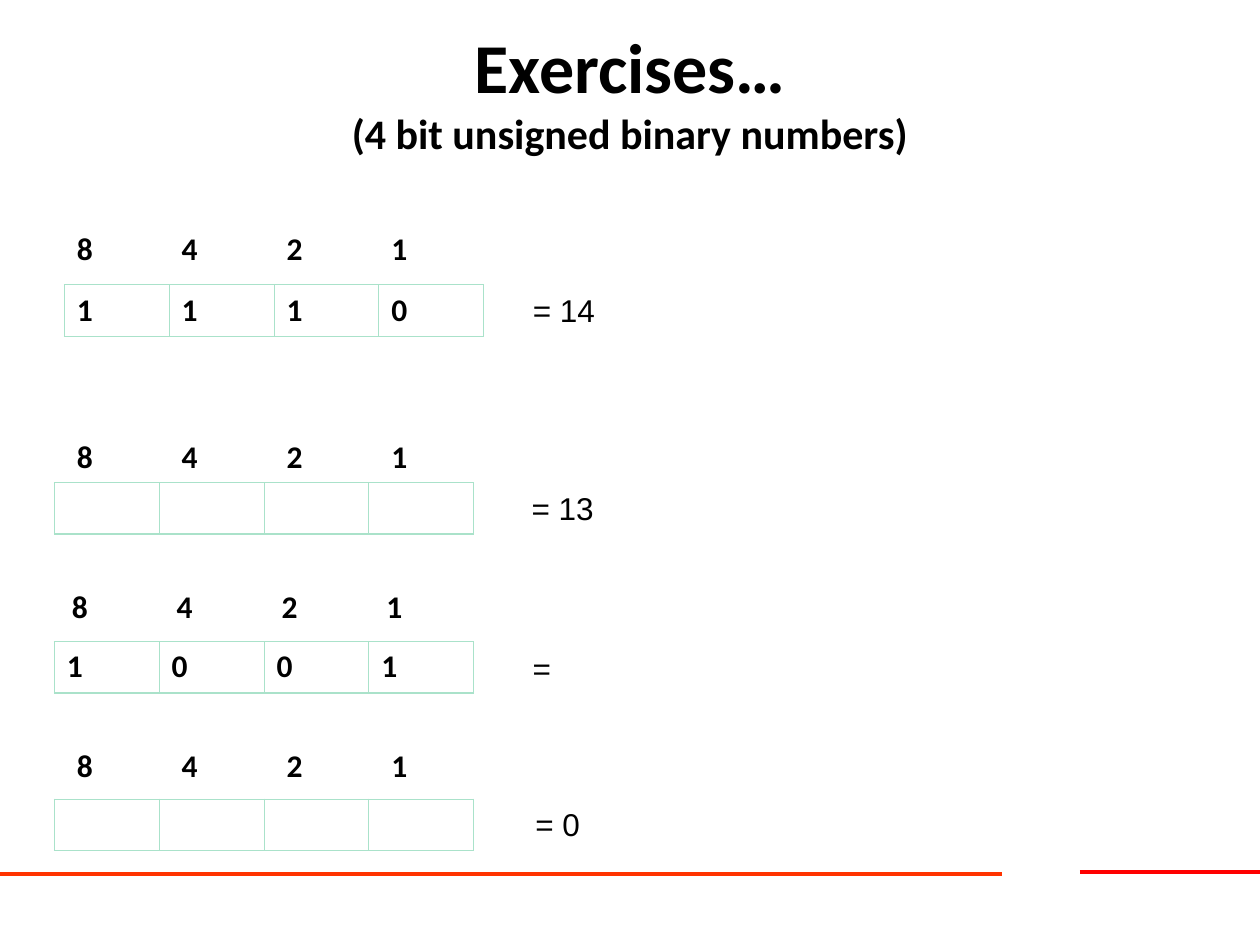
from dataclasses import dataclass
from lxml.etree import SubElement
from pptx import Presentation
from pptx.dml.color import RGBColor
from pptx.enum.shapes import MSO_CONNECTOR
from pptx.enum.text import MSO_ANCHOR, MSO_AUTO_SIZE, PP_ALIGN
from pptx.oxml.ns import qn
from pptx.util import Inches, Pt


@dataclass(frozen=True)
class Theme:
    ink: str = "000000"
    grid: str = "AAE2CA"
    clear: str = "FFFFFF"
    red: str = "FF0000"
    orange: str = "FF3300"
    head: str = "Calibri"
    body: str = "Arial"
    big: int = 40
    mid: int = 24
    base: int = 18
    rule: float = 2.25
    thin: float = 0.45
    thick: float = 0.96


def write(para, text, font, size, color, bold=False):
    run = para.add_run()
    run.text = text
    run.font.name = font
    run.font.size = Pt(size)
    run.font.bold = bold
    run.font.color.rgb = RGBColor.from_string(color)


class Board:
    def __init__(self, slide, theme):
        self.slide = slide
        self.theme = theme

    def rule(self, start, end, top, color):
        line = self.slide.shapes.add_connector(
            MSO_CONNECTOR.STRAIGHT, Inches(start), Inches(top), Inches(end), Inches(top))
        line.line.color.rgb = RGBColor.from_string(color)
        line.line.width = Pt(self.theme.rule)
        SubElement(line._element.spPr, qn("a:effectLst"))

    def box(self, left, top, width, height, wrap=True):
        shape = self.slide.shapes.add_textbox(
            Inches(left), Inches(top), Inches(width), Inches(height))
        shape.text_frame.word_wrap = wrap
        return shape.text_frame

    def title(self, main, sub):
        look = self.theme
        frame = self.box(0.75, 0.28, 8.5, 1.25)
        frame.vertical_anchor = MSO_ANCHOR.BOTTOM
        frame.margin_bottom = Inches(0.28)
        para = frame.paragraphs[0]
        para.alignment = PP_ALIGN.CENTER
        write(para, main, look.head, look.big, look.ink, bold=True)
        para.add_line_break()
        write(para, sub, look.head, look.mid, look.ink, bold=True)

    def answer(self, text, left, top, width, wrap=True):
        look = self.theme
        frame = self.box(left, top, width, 0.4, wrap)
        frame.auto_size = MSO_AUTO_SIZE.SHAPE_TO_FIT_TEXT
        write(frame.paragraphs[0], text, look.body, look.base, look.ink)

    def edge(self, cell, color):
        props = cell._tc.get_or_add_tcPr()
        for side in "LRTB":
            width = self.theme.thick if side == "B" else self.theme.thin
            line = SubElement(props, qn(f"a:ln{side}"), w=str(Pt(width)))
            fill = SubElement(line, qn("a:solidFill"))
            SubElement(fill, qn("a:srgbClr"), val=color)

    def bits(self, digits, left, top, color):
        look = self.theme
        table = self.slide.shapes.add_table(
            1, 4, Inches(left), Inches(top), Inches(3.33), Inches(0.41)).table
        table.first_row = False
        table.horz_banding = False
        for cell, digit in zip(table.rows[0].cells, digits):
            self.edge(cell, color)
            cell.fill.background()
            para = cell.text_frame.paragraphs[0]
            para.font.size = Pt(look.base)
            if digit.strip():
                write(para, digit, look.head, look.base, look.ink, bold=True)


def main():
    deck = Presentation()
    deck.slide_width, deck.slide_height = Inches(10), Inches(7.5)
    theme = Theme()
    board = Board(deck.slides.add_slide(deck.slide_layouts[6]), theme)

    board.rule(8.57, 10, 6.92, theme.red)
    board.rule(0, 7.95, 6.94, theme.orange)
    board.title("Exercises…", "(4 bit unsigned binary numbers)")

    tasks = [
        ((0.51, 1.78), (0.51, 2.26), "1110", ("= 14", 4.13, 2.26, 1.02)),
        ((0.51, 3.43), (0.43, 3.83), "    ", ("= 13", 4.12, 3.83, 0.69, False)),
        ((0.47, 4.62), (0.43, 5.09), "1001", ("=", 4.13, 5.1, 0.63)),
        ((0.51, 5.88), (0.43, 6.34), "    ", ("= 0", 4.15, 6.34, 0.63)),
    ]
    for head, grid, digits, answer in tasks:
        board.bits("8421", *head, theme.clear)
        board.bits(digits, *grid, theme.grid)
        board.answer(*answer)

    deck.save("out.pptx")


if __name__ == "__main__":
    main()
